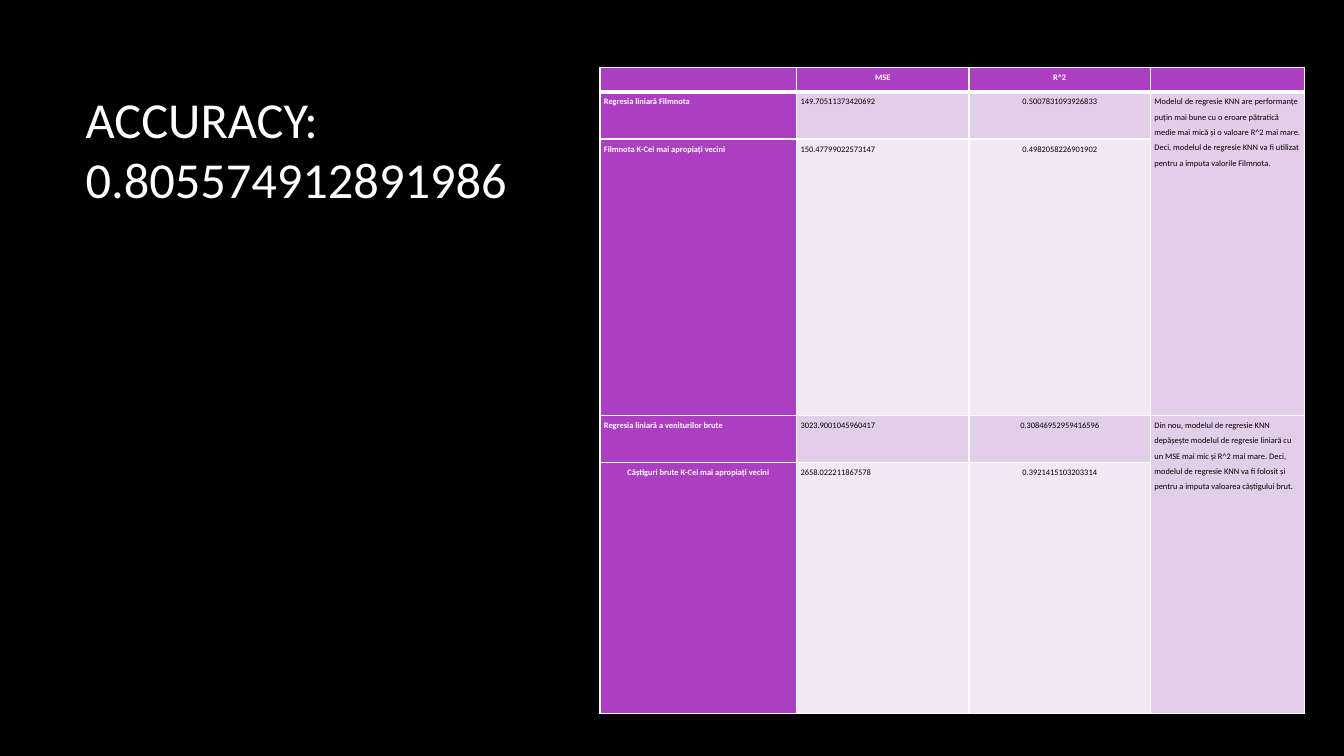
from lxml import etree
from pptx import Presentation, util as u
from pptx.dml import color
from pptx.enum import text
from pptx.oxml import ns

WIDE, HIGH = u.Inches(13.33), u.Inches(7.5)
FONT = "Calibri"
WHITE, BLACK, PURPLE = "FFFFFF", "000000", "AC3EC1"
BANDS = ["E3CEE9", "F1E8F4"]
COLS = [1.95, 1.71, 1.8, 1.53]
ROWS = [0.24, 0.47, 2.74, 0.47, 2.49]
LEFT, MID, JUST = text.PP_ALIGN.LEFT, text.PP_ALIGN.CENTER, text.PP_ALIGN.JUSTIFY

DATA = [
    ["", "MSE", "R^2", ""],
    ["Regresia liniară Filmnota", "149.70511373420692", "0.5007831093926833",
     "Modelul de regresie KNN are performanțe puțin mai bune cu o eroare pătratică "
     "medie mai mică și o valoare R^2 mai mare. Deci, modelul de regresie KNN va fi "
     "utilizat pentru a imputa valorile Filmnota."],
    ["Filmnota K-Cei mai apropiați vecini", "150.47799022573147",
     "0.4982058226901902", ""],
    ["Regresia liniară a veniturilor brute", "3023.9001045960417",
     "0.30846952959416596",
     "Din nou, modelul de regresie KNN depășește modelul de regresie liniară cu un "
     "MSE mai mic și R^2 mai mare. Deci, modelul de regresie KNN va fi folosit și "
     "pentru a imputa valoarea câștigului brut."],
    ["Câștiguri brute K-Cei mai apropiați vecini", "2658.022211867578",
     "0.3921415103203314", ""],
]


def paint(fill, tint):
    fill.solid()
    fill.fore_color.rgb = color.RGBColor.from_string(tint)


def style(para, size, tint, bold=False):
    for run in para.runs:
        font = run.font
        font.name, font.size, font.bold = FONT, u.Pt(size), bold
        paint(font.fill, tint)


def edge(cell, side, width):
    line = etree.SubElement(cell._tc.get_or_add_tcPr(), ns.qn("a:ln" + side),
                            w=str(u.Pt(width)))
    fill = etree.SubElement(line, ns.qn("a:solidFill"))
    etree.SubElement(fill, ns.qn("a:srgbClr"), val=WHITE)


def look(row, col):
    """Give the fill, text colour and alignment of a cell."""
    if row == 0:
        return PURPLE, WHITE, MID
    if col == 0:
        return PURPLE, WHITE, MID if row == len(ROWS) - 1 else JUST
    if col == 3:
        return BANDS[0], BLACK, LEFT
    return BANDS[(row - 1) % 2], BLACK, JUST if col == 1 else MID


def write(cell, row, col):
    back, ink, align = look(row, col)
    cell.margin_left = cell.margin_right = u.Inches(0.04)
    cell.margin_top = cell.margin_bottom = 0
    # Thick rule between the header and the body
    for side in "LRTB":
        thick = (row, side) in [(0, "B"), (1, "T")]
        edge(cell, side, 3 if thick else 1)
    paint(cell.fill, back)
    para = cell.text_frame.paragraphs[0]
    para.text = DATA[row][col]
    para.alignment, para.line_spacing, para.space_after = align, 1.5, u.Pt(8)
    style(para, 6, ink, ink == WHITE)
    if not para.runs:
        end = etree.SubElement(para._p, ns.qn("a:endParaRPr"))
        end.set("sz", "600")


def add_title(slide, words):
    title = slide.shapes.title
    title.left, title.top = u.Inches(0.75), int(HIGH * 0.09)
    title.width, title.height = int(WIDE * 0.34), u.Inches(1.59)
    frame = title.text_frame
    frame.text = words
    frame.word_wrap = True
    frame.auto_size = text.MSO_AUTO_SIZE.NONE
    frame.vertical_anchor = text.MSO_ANCHOR.MIDDLE
    para = frame.paragraphs[0]
    para.alignment = LEFT
    style(para, 36, WHITE)


def add_grid(slide):
    frame = slide.shapes.add_table(
        len(ROWS), len(COLS), u.Inches(5.95), u.Inches(0.67),
        u.Inches(sum(COLS)), u.Inches(sum(ROWS)))
    grid = frame.table
    for col, width in zip(grid.columns, COLS):
        col.width = u.Inches(width)
    for row, height in zip(grid.rows, ROWS):
        row.height = u.Inches(height)
    for row in range(len(ROWS)):
        for col in range(len(COLS)):
            write(grid.cell(row, col), row, col)
    # Each remark spans a pair of models
    for row in (1, 3):
        grid.cell(row, 3).merge(grid.cell(row + 1, 3))


def main():
    deck = Presentation()
    deck.slide_width, deck.slide_height = WIDE, HIGH
    slide = deck.slides.add_slide(deck.slide_layouts.get_by_name("Title Only"))
    paint(slide.background.fill, BLACK)
    add_title(slide, "ACCURACY: 0.805574912891986")
    add_grid(slide)
    deck.save("out.pptx")


if __name__ == "__main__":
    main()
